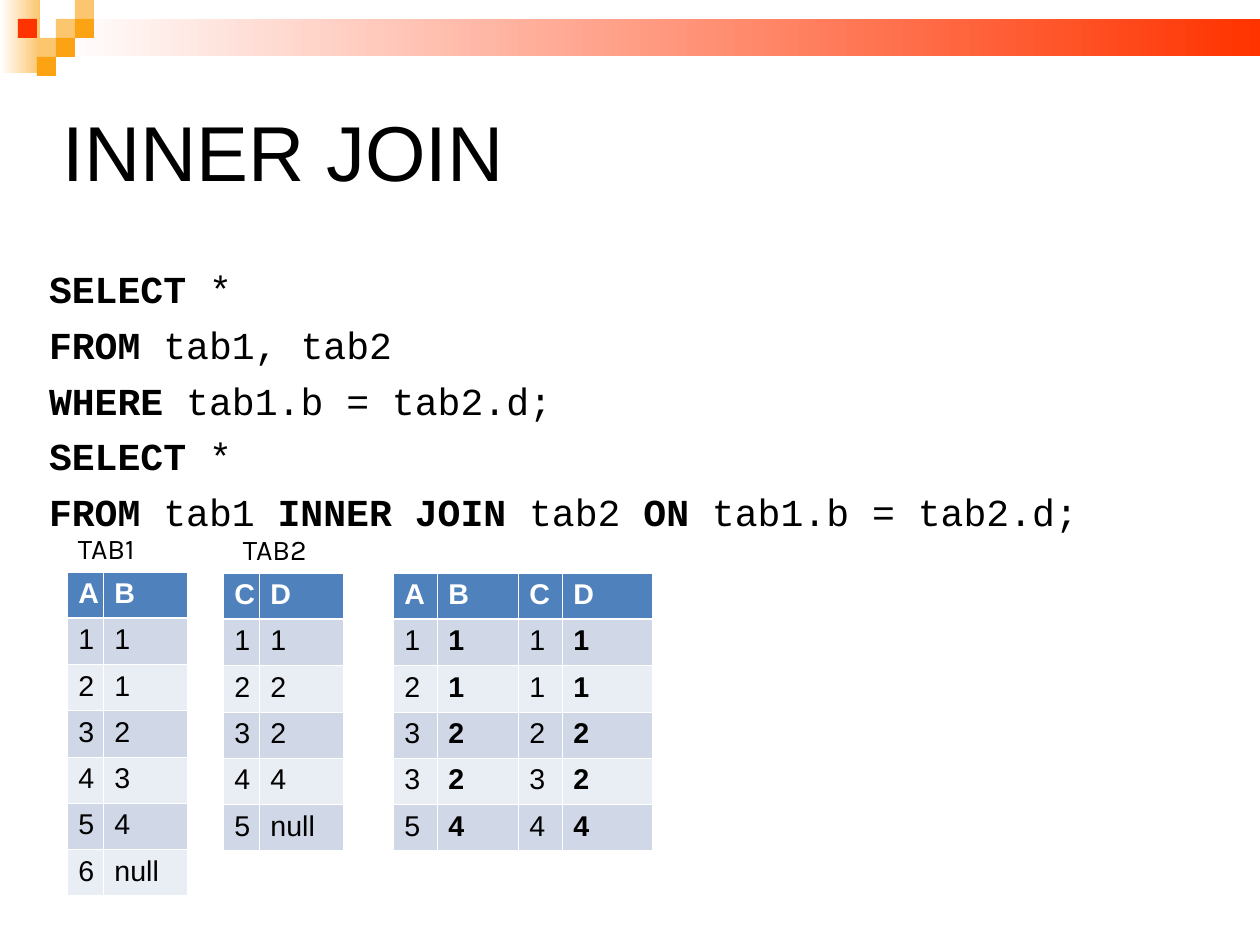
"""Builds the INNER JOIN slide: two SQL queries, two source tables and their join."""
from dataclasses import dataclass

from lxml import etree
from pptx import Presentation
from pptx.dml.color import RGBColor
from pptx.enum.shapes import MSO_SHAPE
from pptx.enum.text import MSO_ANCHOR, PP_ALIGN
from pptx.oxml.ns import qn
from pptx.util import Emu, Pt

EMU_PER_PX = 8000
RECTANGLE = MSO_SHAPE.RECTANGLE
LEFT = PP_ALIGN.LEFT
TOP, MIDDLE = MSO_ANCHOR.TOP, MSO_ANCHOR.MIDDLE

BLACK = RGBColor(0x00, 0x00, 0x00)
WHITE = RGBColor(0xFF, 0xFF, 0xFF)
RED = RGBColor(0xFF, 0x33, 0x00)
ORANGE = RGBColor(0xFB, 0xA3, 0x13)
PALE_ORANGE = RGBColor(0xFC, 0xC6, 0x6E)
HEADER_BLUE = RGBColor(0x4F, 0x81, 0xBD)
BANDS = (RGBColor(0xD0, 0xD8, 0xE8), RGBColor(0xE9, 0xED, 0xF4))

THIN, THICK = Pt(0.45), Pt(1.47)
TILE = 19


@dataclass(frozen=True)
class Box:
    left: int
    top: int
    width: int
    height: int

    def emu(self) -> tuple[Emu, ...]:
        return tuple(px(n) for n in (self.left, self.top, self.width, self.height))


@dataclass(frozen=True)
class Fade:
    box: Box
    color: RGBColor


@dataclass(frozen=True)
class Tile:
    column: int
    row: int
    color: RGBColor


@dataclass(frozen=True)
class Relation:
    box: Box
    columns: tuple[int, ...]
    rows: tuple[str, ...]
    bold_columns: tuple[int, ...] = ()


@dataclass(frozen=True)
class Label:
    text: str
    box: Box


@dataclass(frozen=True)
class Piece:
    text: str
    bold: bool = False


FADES = (
    Fade(Box(0, 0, 40, 73), PALE_ORANGE),
    Fade(Box(57, 19, 1203, 37), RED),
)
TILES = (
    Tile(3, 1, PALE_ORANGE),
    Tile(4, 0, PALE_ORANGE),
    Tile(4, 1, ORANGE),
    Tile(2, 2, PALE_ORANGE),
    Tile(1, 1, RED),
    Tile(3, 2, ORANGE),
    Tile(2, 3, ORANGE),
)
QUERY_LINES = (
    (Piece("SELECT ", True), Piece("*")),
    (Piece("FROM ", True), Piece("tab1, tab2")),
    (Piece("WHERE", True), Piece(" tab1.b = tab2.d;")),
    (Piece("SELECT ", True), Piece("*")),
    (Piece("FROM ", True), Piece("tab1 "), Piece("INNER JOIN", True),
     Piece(" tab2 "), Piece("ON ", True), Piece("tab1.b = tab2.d;")),
)
RELATIONS = (
    Relation(Box(67, 572, 120, 324), (36, 84),
             ("A B", "1 1", "2 1", "3 2", "4 3", "5 4", "6 null")),
    Relation(Box(223, 573, 120, 278), (36, 84),
             ("C D", "1 1", "2 2", "3 2", "4 4", "5 null")),
    Relation(Box(393, 573, 259, 278), (44, 81, 44, 90),
             ("A B C D", "1 1 1 1", "2 1 1 1", "3 2 2 2", "3 2 3 2", "5 4 4 4"), (1, 3)),
)
LABELS = (
    Label("TAB1", Box(67, 525, 97, 46)),
    Label("TAB2", Box(232, 526, 97, 46)),
)


def px(length: int) -> Emu:
    return Emu(length * EMU_PER_PX)


def add_run(paragraph, text: str, font: str, size: float,
            color: RGBColor = BLACK, bold: bool = False) -> None:
    run = paragraph.add_run()
    run.text = text
    run.font.name = font
    run.font.size = Pt(size)
    run.font.bold = bold
    run.font.color.rgb = color


def add_rectangle(slide, box: Box):
    rectangle = slide.shapes.add_shape(RECTANGLE, *box.emu())
    rectangle.shadow.inherit = False
    rectangle.line.fill.background()
    return rectangle


def add_fade(slide, fade: Fade) -> None:
    fill = add_rectangle(slide, fade.box).fill
    fill.gradient()
    fill.gradient_angle = 180
    for stop, color in zip(fill.gradient_stops, (fade.color, WHITE)):
        stop.color.rgb = color


def add_tile(slide, tile: Tile) -> None:
    box = Box(tile.column * TILE - 1, tile.row * TILE, TILE, TILE)
    fill = add_rectangle(slide, box).fill
    fill.solid()
    fill.fore_color.rgb = tile.color


def set_frame(frame, anchor, left: int, top: int) -> None:
    frame.word_wrap = True
    frame.vertical_anchor = anchor
    frame.margin_left = frame.margin_right = px(left)
    frame.margin_top = px(top)
    frame.margin_bottom = 0


def set_title(slide) -> None:
    title = slide.shapes.title
    title.left, title.top, title.width, title.height = Box(63, 63, 1134, 189).emu()
    set_frame(title.text_frame, MIDDLE, 0, 0)
    heading = title.text_frame.paragraphs[0]
    heading.alignment = LEFT
    heading.line_spacing = 0.87
    add_run(heading, "INNER JOIN", "Arial", 49)


def add_queries(slide) -> None:
    frame = slide.shapes.add_textbox(*Box(49, 256, 1094, 584).emu()).text_frame
    set_frame(frame, TOP, 0, 16)
    for index, pieces in enumerate(QUERY_LINES):
        line = frame.add_paragraph() if index else frame.paragraphs[0]
        line.line_spacing = 0.87
        line.space_before = Pt(10 if index else 0)
        for piece in pieces:
            add_run(line, piece.text, "Courier New", 24, bold=piece.bold)


def add_border(cell, side: str, width: Emu) -> None:
    border = etree.SubElement(cell._tc.get_or_add_tcPr(), qn(f"a:{side}"), w=str(int(width)))
    solid = etree.SubElement(border, qn("a:solidFill"))
    etree.SubElement(solid, qn("a:srgbClr"), val=str(WHITE))


def add_relation(slide, relation: Relation) -> None:
    row_count = len(relation.rows)
    table = slide.shapes.add_table(
        row_count, len(relation.columns), *relation.box.emu()).table
    table.horz_banding = False
    for column, width in zip(table.columns, relation.columns):
        column.width = px(width)
    for r, values in enumerate(relation.rows):
        table.rows[r].height = Emu(px(relation.box.height) // row_count)
        for c, value in enumerate(values.split()):
            cell = table.cell(r, c)
            for side in ("lnL", "lnR", "lnT", "lnB"):
                under_header = (r, side) in ((0, "lnB"), (1, "lnT"))
                add_border(cell, side, THICK if under_header else THIN)
            cell.fill.solid()
            cell.fill.fore_color.rgb = BANDS[(r - 1) % 2] if r else HEADER_BLUE
            add_run(cell.text_frame.paragraphs[0], value, "Arial", 18,
                    BLACK if r else WHITE, r == 0 or c in relation.bold_columns)


def add_label(slide, label: Label) -> None:
    frame = slide.shapes.add_textbox(*label.box.emu()).text_frame
    set_frame(frame, TOP, 11, 6)
    add_run(frame.paragraphs[0], label.text, "Karla", 18)


def main() -> None:
    deck = Presentation()
    deck.slide_width, deck.slide_height = px(1260), px(945)
    slide = deck.slides.add_slide(deck.slide_layouts[5])
    for fade in FADES:
        add_fade(slide, fade)
    for tile in TILES:
        add_tile(slide, tile)
    set_title(slide)
    add_queries(slide)
    for relation in RELATIONS:
        add_relation(slide, relation)
    for label in LABELS:
        add_label(slide, label)
    deck.save("out.pptx")


if __name__ == "__main__":
    main()
